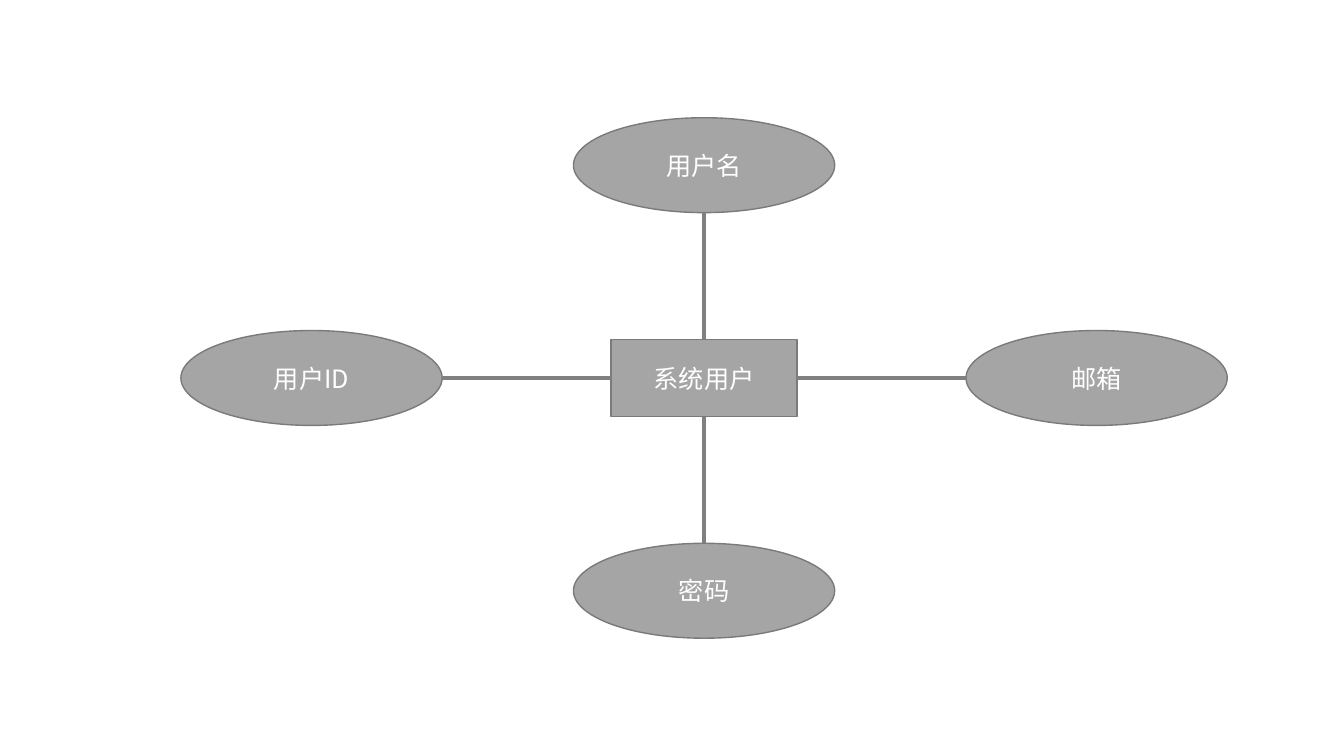
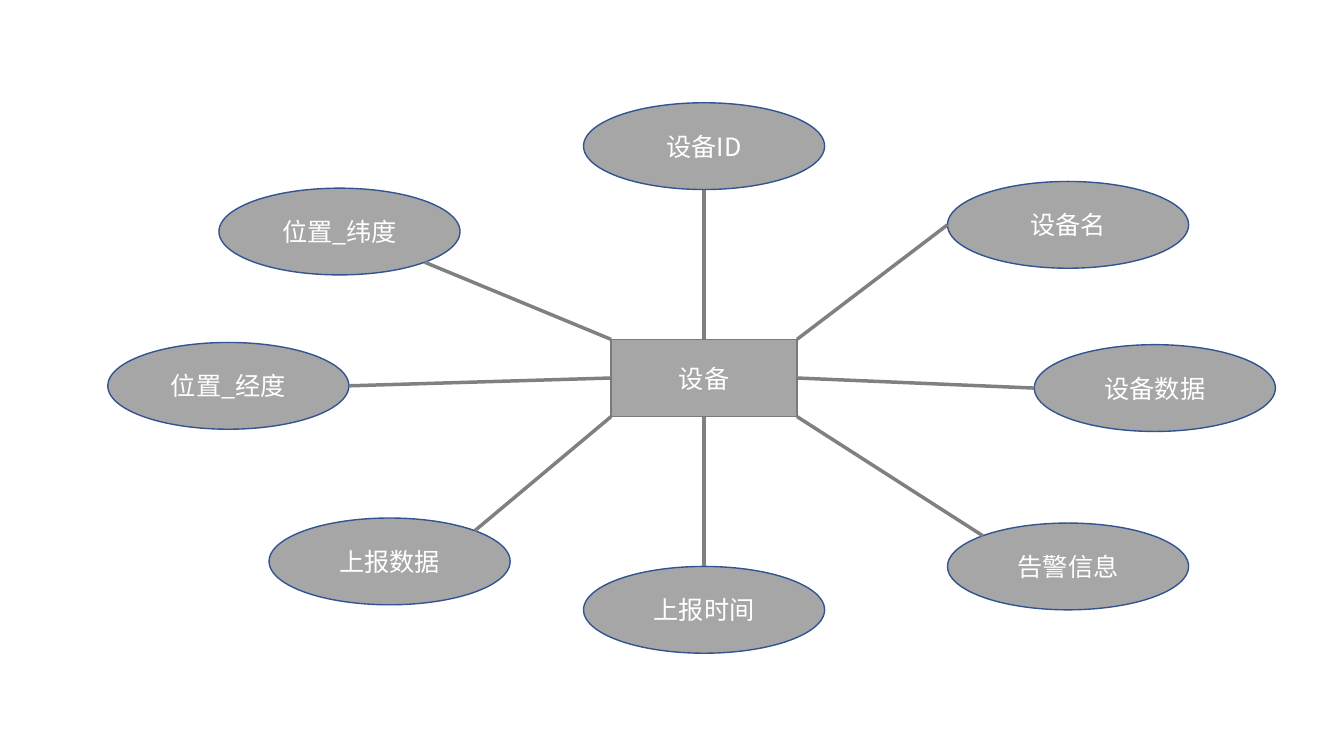
from dataclasses import dataclass
from math import sqrt

from pptx import Presentation
from pptx.dml.color import RGBColor as RGB
from pptx.enum.shapes import MSO_CONNECTOR as CONN, MSO_SHAPE as SHAPE
from pptx.enum.text import MSO_ANCHOR as ANCHOR, PP_ALIGN as ALIGN
from pptx.oxml.ns import qn
from pptx.util import Pt
from lxml.etree import SubElement


@dataclass(frozen=True)
class Theme:
    font: str = "Noto Sans CJK SC"
    size: float = 18
    text: str = "FFFFFF"
    grey: str = "A5A5A5"
    soft_grey: str = "A6A6A6"
    border: str = "7A7A7A"
    blue: str = "325491"
    link: str = "808080"
    border_width: float = 1
    link_width: float = 2.5


theme = Theme()


def add_node(shapes, kind, center, size, text, fill, border):
    (x, y), (w, h) = center, size
    sp = shapes.add_shape(kind, Pt(x - w / 2), Pt(y - h / 2), Pt(w), Pt(h))
    sp.shadow.inherit = False
    sp.fill.solid()
    sp.fill.fore_color.rgb = RGB.from_string(fill)
    sp.line.color.rgb = RGB.from_string(border)
    sp.line.width = Pt(theme.border_width)
    tf = sp.text_frame
    tf.word_wrap = True
    tf.vertical_anchor = ANCHOR.MIDDLE
    p = tf.paragraphs[0]
    p.alignment = ALIGN.CENTER
    r = p.add_run()
    r.text = text
    r.font.size = Pt(theme.size)
    r.font.name = theme.font
    r.font.color.rgb = RGB.from_string(theme.text)
    SubElement(r.font._element, qn("a:ea"), typeface=theme.font)


def add_link(shapes, start, end):
    cx = shapes.add_connector(CONN.STRAIGHT, *(Pt(v) for v in start + end))
    cx.line.color.rgb = RGB.from_string(theme.link)
    cx.line.width = Pt(theme.link_width)
    SubElement(cx._element.spPr, qn("a:effectLst"))


CENTER = (502.9, 270)
ENTITY_SIZE = (132.8, 55.2)
TOP, BOTTOM, LEFT, RIGHT = (0, -1), (0, 1), (-1, 0), (1, 0)
TOP_LEFT, TOP_RIGHT, BOTTOM_LEFT, BOTTOM_RIGHT = (-1, -1), (1, -1), (-1, 1), (1, 1)

# Each attribute: text, offset from the entity, entity side, oval side
diagrams = [
    ("系统用户", theme.grey, theme.border, (186.6, 67.8), [
        ("用户名", (0, -152), TOP, BOTTOM),
        ("用户ID", (-280.4, 0), LEFT, RIGHT),
        ("邮箱", (280.4, 0), RIGHT, LEFT),
        ("密码", (0, 152), BOTTOM, TOP),
    ]),
    ("设备", theme.soft_grey, theme.blue, (172.2, 62), [
        ("设备ID", (0, -165.6), TOP, BOTTOM),
        ("设备名", (260, -109.4), TOP_RIGHT, LEFT),
        ("设备数据", (322, 7.2), RIGHT, LEFT),
        ("上报数据", (-224.6, 131), BOTTOM_LEFT, TOP_RIGHT),
        ("上报时间", (0, 165.6), BOTTOM, TOP),
        ("位置_经度", (-339.8, 5.6), LEFT, RIGHT),
        ("位置_纬度", (-260.4, -104.6), TOP_LEFT, BOTTOM_RIGHT),
        ("告警信息", (260, 134.6), BOTTOM_RIGHT, TOP_LEFT),
    ]),
]

prs = Presentation()
prs.slide_width, prs.slide_height = Pt(960), Pt(540)

for entity, fill, border, oval_size, attributes in diagrams:
    s = prs.slides.add_slide(prs.slide_layouts[6])
    shapes = s.shapes.add_group_shape().shapes
    add_node(shapes, SHAPE.RECTANGLE, CENTER, ENTITY_SIZE, entity, fill, theme.border)
    for text, offset, entity_side, oval_side in attributes:
        oval = tuple(c + d for c, d in zip(CENTER, offset))
        add_node(shapes, SHAPE.OVAL, oval, oval_size, text, fill, border)
        start = tuple(c + u * v / 2 for c, u, v in zip(CENTER, entity_side, ENTITY_SIZE))
        reach = sqrt(sum(u * u for u in oval_side))
        end = tuple(c + u / reach * v / 2 for c, u, v in zip(oval, oval_side, oval_size))
        add_link(shapes, start, end)

prs.save("out.pptx")
